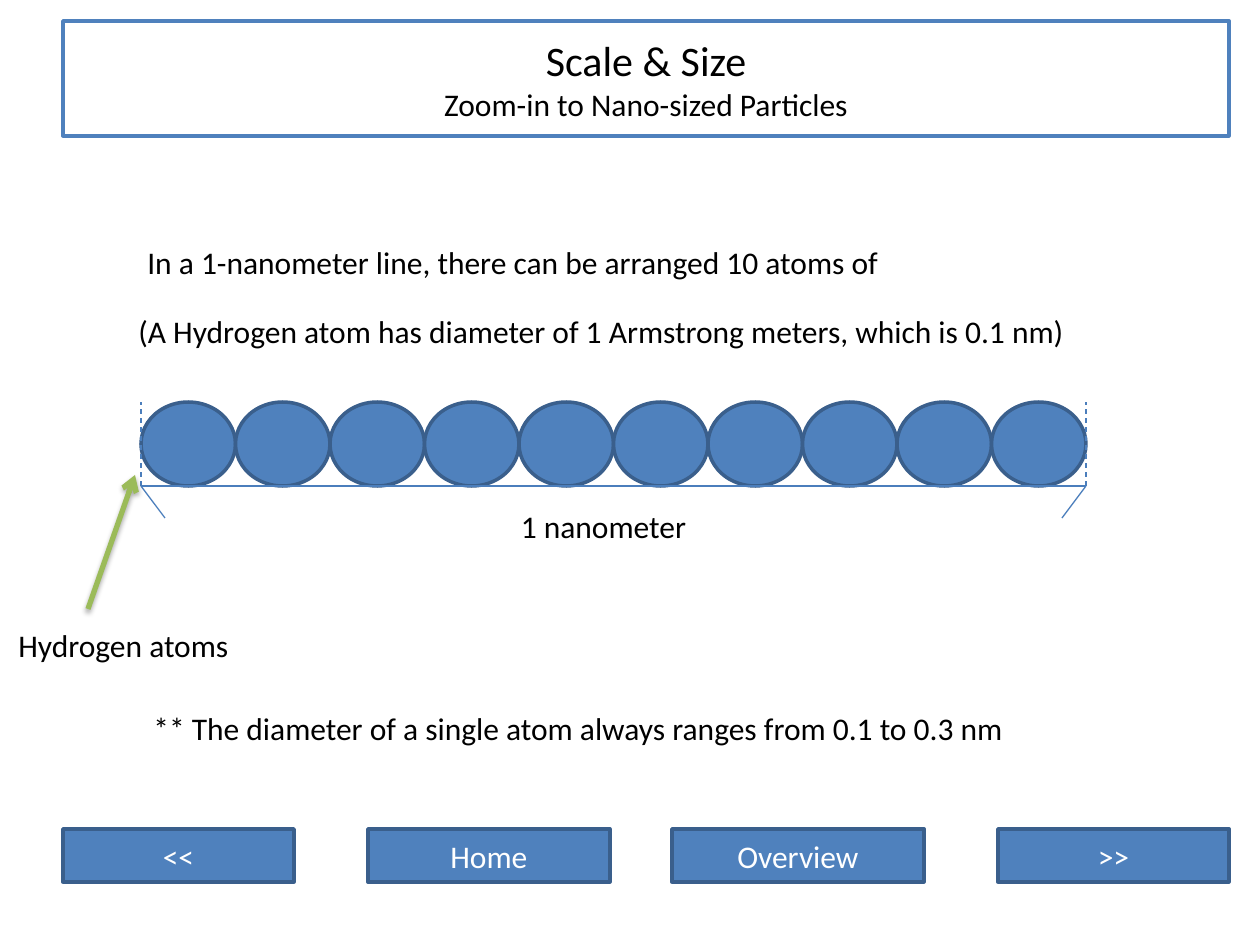
from pptx import Presentation
from pptx.dml.color import RGBColor
from pptx.enum.dml import MSO_LINE_DASH_STYLE as Dash
from pptx.enum.shapes import MSO_CONNECTOR as Connector, MSO_SHAPE as Shape
from pptx.enum.text import MSO_ANCHOR as Anchor, MSO_AUTO_SIZE as AutoSize, PP_ALIGN as Align
from pptx.oxml import parse_xml
from pptx.oxml.ns import nsdecls
from pptx.util import Emu, Pt

PX_PER_INCH = 126
BLACK = RGBColor(0x00, 0x00, 0x00)
WHITE = RGBColor(0xFF, 0xFF, 0xFF)
BLUE = RGBColor(0x4F, 0x81, 0xBD)
DARK_BLUE = RGBColor(0x3A, 0x5F, 0x8C)
RULER_BLUE = RGBColor(0x4B, 0x7E, 0xBC)
GREEN = RGBColor(0x9B, 0xBB, 0x59)
BODY = {"name": "Calibri", "size": Pt(18)}

ATOM_COUNT = 10
ROW_LEFT, ROW_RIGHT, ROW_TOP, ROW_BOTTOM = 141, 1086, 402, 486

NOTES = [
    ("1 nanometer", 451, 501, 305, Align.CENTER),
    ("In a 1-nanometer line, there can be arranged 10 atoms of", 135, 237, 793, Align.LEFT),
    ("(A Hydrogen atom has diameter of 1 Armstrong meters, which is 0.1 nm)",
     126, 306, 971, Align.LEFT),
    ("Hydrogen atoms", 6, 620, 239, Align.LEFT),
    ("** The diameter of a single atom always ranges from 0.1 to 0.3 nm",
     141, 703, 897, Align.LEFT),
]
BUTTONS = [("<<", 63, 231), ("Home", 368, 242), ("Overview", 672, 252), (">>", 998, 231)]

ARROW_SHADOW = (
    '<a:outerShdw blurRad="39370" dist="22860" dir="5400000" rotWithShape="0">'
    '<a:srgbClr val="000000"><a:alpha val="35000"/></a:srgbClr></a:outerShdw>'
)


def px(length):
    return Emu(round(length * 914400 / PX_PER_INCH))


def apply_format(target, values):
    for name, value in values.items():
        setattr(target, name, value)


def write_line(paragraph, text, color, align, **changes):
    paragraph.alignment = align
    run = paragraph.add_run()
    run.text = text
    apply_format(run.font, {**BODY, **changes})
    run.font.color.rgb = color


def add_box(slide, kind, left, top, width, height, fill=BLUE, outline=DARK_BLUE):
    shape = slide.shapes.add_shape(kind, px(left), px(top), px(width), px(height))
    shape.shadow.inherit = False
    shape.fill.solid()
    shape.fill.fore_color.rgb = fill
    shape.line.color.rgb = outline
    shape.line.width = Pt(2)
    apply_format(shape.text_frame, {"word_wrap": True, "vertical_anchor": Anchor.MIDDLE})
    return shape


def add_atoms(slide):
    width = (ROW_RIGHT - ROW_LEFT) / ATOM_COUNT
    for index in range(ATOM_COUNT):
        add_box(slide, Shape.OVAL, ROW_LEFT + index * width, ROW_TOP, width, ROW_BOTTOM - ROW_TOP)


def add_line(shapes, start, end, color, width, dash=None, effect=""):
    line = shapes.add_connector(Connector.STRAIGHT, *map(px, start + end))
    line.line.color.rgb = color
    apply_format(line.line, {"width": Pt(width), "dash_style": dash})
    effects = f'<a:effectLst {nsdecls("a")}>{effect}</a:effectLst>'
    line._element.spPr.append(parse_xml(effects))
    return line


def add_ruler(slide):
    shapes = slide.shapes.add_group_shape().shapes
    left, right = (ROW_LEFT, ROW_BOTTOM), (ROW_RIGHT, ROW_BOTTOM)
    add_line(shapes, left, right, RULER_BLUE, 0.75)
    for corner, inward in ((left, 24), (right, -24)):
        add_line(shapes, corner, (corner[0], ROW_TOP), RULER_BLUE, 0.75, Dash.DASH)
        add_line(shapes, corner, (corner[0] + inward, ROW_BOTTOM + 32), RULER_BLUE, 0.75)


def add_note(slide, text, left, top, width, align):
    box = slide.shapes.add_textbox(px(left), px(top), px(width), px(51))
    apply_format(box.text_frame, {"word_wrap": True, "auto_size": AutoSize.SHAPE_TO_FIT_TEXT})
    write_line(box.text_frame.paragraphs[0], text, BLACK, align)


def add_button(slide, label, left, width):
    button = add_box(slide, Shape.RECTANGLE, left, 829, width, 53)
    write_line(button.text_frame.paragraphs[0], label, WHITE, Align.CENTER)


def add_header(slide):
    header = add_box(slide, Shape.RECTANGLE, 63, 21, 1166, 115, WHITE, BLUE)
    frame = header.text_frame
    write_line(frame.paragraphs[0], "Scale & Size", BLACK, Align.CENTER, size=Pt(24))
    write_line(frame.add_paragraph(), "Zoom-in to Nano-sized Particles", BLACK, Align.CENTER)


def add_pointer(slide):
    arrow = add_line(slide.shapes, (88, 609), (135, 475), GREEN, 3, effect=ARROW_SHADOW)
    arrow.line._get_or_add_ln().append(parse_xml(f'<a:tailEnd {nsdecls("a")} type="arrow"/>'))


def main():
    presentation = Presentation()
    apply_format(presentation, {"slide_width": px(1260), "slide_height": px(945)})
    slide = presentation.slides.add_slide(presentation.slide_layouts[6])
    add_atoms(slide)
    add_ruler(slide)
    for note in NOTES:
        add_note(slide, *note)
    for button in BUTTONS:
        add_button(slide, *button)
    add_header(slide)
    add_pointer(slide)
    presentation.save("out.pptx")


if __name__ == "__main__":
    main()
